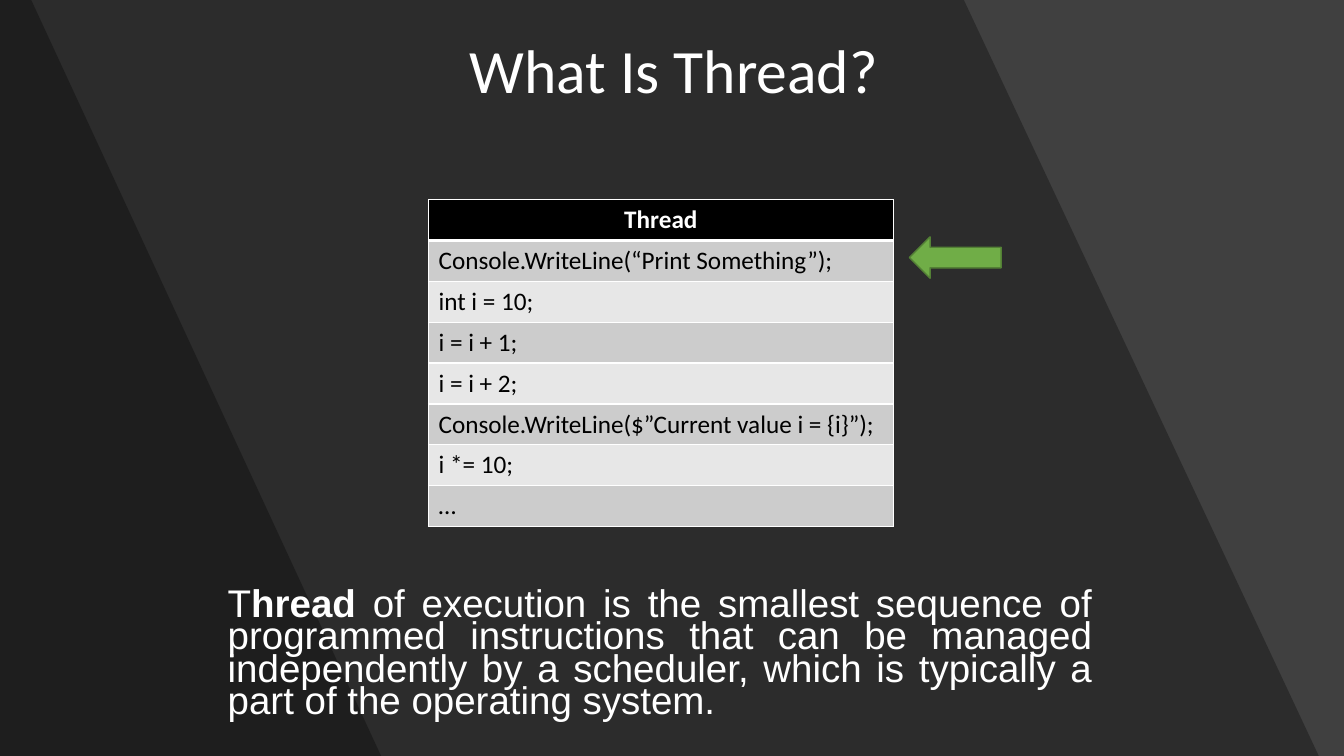
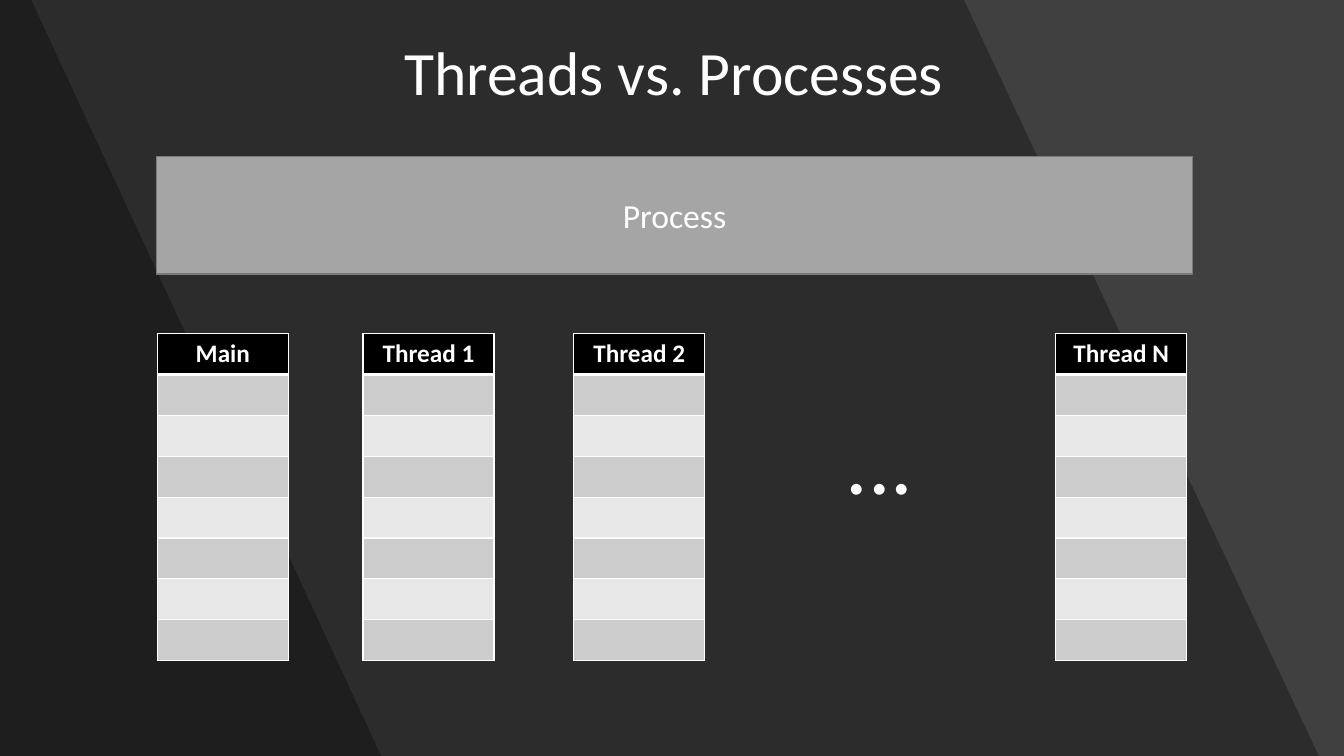
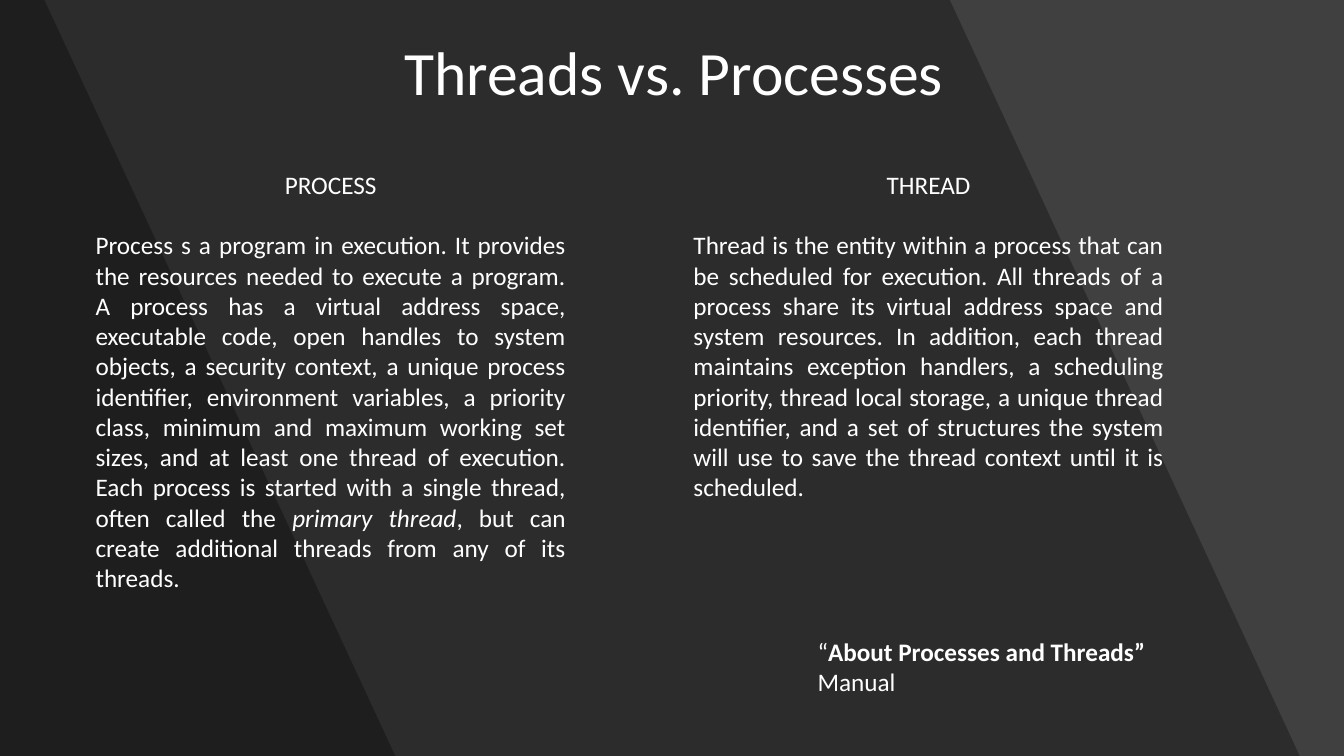
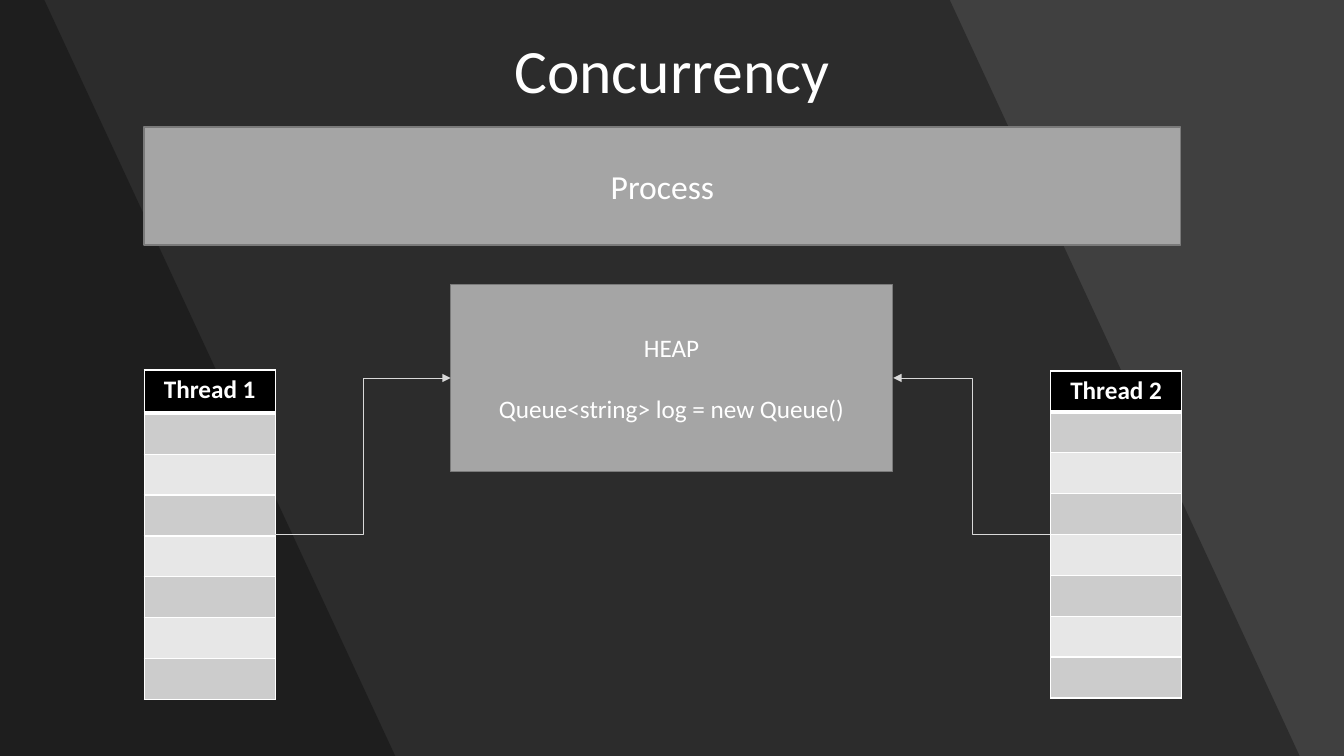
import pptx
import pptx.util
import pptx.dml.color
import pptx.enum.shapes
import pptx.enum.text
import pptx.oxml.ns
import lxml.etree

Inches = pptx.util.Inches
Pt = pptx.util.Pt
qn = pptx.oxml.ns.qn
Align = pptx.enum.text.PP_ALIGN
Anchor = pptx.enum.text.MSO_ANCHOR
Shape = pptx.enum.shapes.MSO_SHAPE
Elbow = pptx.enum.shapes.MSO_CONNECTOR.ELBOW

HUES = {
    "ground": "404040", "black": "000000", "white": "FFFFFF",
    "odd": "CCCCCC", "even": "E7E7E7", "box": "A5A5A5", "edge": "7A7A7A",
    "green": "70AD47", "moss": "538035", "wire": "D9D9D9",
}
WIDE, HIGH = 13.33, 7.5
ROW = 3.24 / 8
COL = 1.3
BLANK = [""] * 7
OUTER = ((9.56, 13.08), (0.31, 3.78))
INNER = ((9.42, 12.89), (0.44, 3.92))
TITLE = (3.42, 0.02, 6.53, 1.45)

CODE = [
    "Console.WriteLine(“Print Something”);",
    "int i = 10;",
    "i = i + 1;",
    "i = i + 2;",
    "Console.WriteLine($”Current value i = {i}”);",
    "i *= 10;",
    "…",
]
DEFINE = [
    ("T", ""),
    ("hread", "b"),
    (" of execution is the smallest sequence of programmed instructions that can be "
     "managed independently by a scheduler, which is typically a part of the "
     "operating system.", ""),
]
LANES = [("Main", 1.56), ("Thread 1", 3.6), ("Thread 2", 5.69), ("Thread N", 10.47)]
SIDES = [
    (0.85, 4.34, "PROCESS", [
        ("Process s a program in execution. It provides the resources needed to execute "
         "a program. A process has a virtual address space, executable code, open handles "
         "to system objects, a security context, a unique process identifier, environment "
         "variables, a priority class, minimum and maximum working set sizes, and at least "
         "one thread of execution. Each process is started with a single thread, often "
         "called the ", ""),
        ("primary thread", "i"),
        (", but can create additional threads from any of its threads.", ""),
    ]),
    (6.78, 3.43, "THREAD", [
        ("Thread is the entity within a process that can be scheduled for execution. All "
         "threads of a process share its virtual address space and system resources. In "
         "addition, each thread maintains exception handlers, a scheduling priority, thread "
         "local storage, a unique thread identifier, and a set of structures the system "
         "will use to save the thread context until it is scheduled.", ""),
    ]),
]
SOURCE = [("“", ""), ("About Processes and Threads” ", "b"), ("Manual", "")]
HEAP = ["HEAP", "Queue<string> log = new Queue()"]
WIRES = [((2.73, 5.3), (4.47, 3.75)), ((10.42, 5.3), (8.86, 3.75))]


def hue(name):
    return pptx.dml.color.RGBColor.from_string(HUES[name])


def place(at):
    return [Inches(n) for n in at]


def paint(item, name):
    item.fill.solid()
    item.fill.fore_color.rgb = hue(name)


def write(para, runs, size=18, ink="white", font="Calibri", align=Align.LEFT):
    para.alignment = align
    for text, style in runs:
        run = para.add_run()
        run.text = text
        run.font.size = Pt(size)
        run.font.name = font
        run.font.color.rgb = hue(ink)
        run.font.bold = "b" in style
        run.font.italic = "i" in style


def panes(slide, edges):
    for top, foot in edges:
        draft = slide.shapes.build_freeform(0, 0)
        corners = [(top, 0), (foot, HIGH), (0, HIGH)]
        draft.add_line_segments([place(dot) for dot in corners], close=True)
        pane = draft.convert_to_shape()
        pane.shadow.inherit = False
        paint(pane, "black")
        pane.line.fill.background()
        tone = pane.element.spPr.find(qn("a:solidFill"))[0]
        lxml.etree.SubElement(tone, qn("a:alpha"), val="30000")


def start(deck, text, edges, at=TITLE):
    slide = deck.slides.add_slide(deck.slide_layouts[5])
    panes(slide, edges)
    title = slide.shapes.title
    title.element.getparent().append(title.element)
    title.left, title.top, title.width, title.height = place(at)
    title.text_frame.vertical_anchor = Anchor.MIDDLE
    para = title.text_frame.paragraphs[0]
    para.line_spacing = 0.9
    write(para, [(text, "")], 44, align=Align.CENTER)
    return slide


def note(slide, at):
    frame = slide.shapes.add_textbox(*place(at)).text_frame
    frame.word_wrap = True
    return frame


def block(slide, kind, at, fill, edge):
    shape = slide.shapes.add_shape(kind, *place(at))
    shape.shadow.inherit = False
    paint(shape, fill)
    shape.line.color.rgb = hue(edge)
    shape.line.width = Pt(1)
    return shape


def label(slide, at, lines, size):
    frame = block(slide, Shape.RECTANGLE, at, "box", "edge").text_frame
    frame.vertical_anchor = Anchor.MIDDLE
    for k, text in enumerate(lines):
        para = frame.add_paragraph() if k else frame.paragraphs[0]
        write(para, [(text, "")], size, align=Align.CENTER)
        if k:
            para.space_before = Pt(22)


def border(cell, sides):
    props = cell._tc.get_or_add_tcPr()
    for k, (side, width) in enumerate(sides):
        line = lxml.etree.Element(qn("a:" + side), w=str(Pt(width)))
        fill = lxml.etree.SubElement(line, qn("a:solidFill"))
        lxml.etree.SubElement(fill, qn("a:srgbClr"), val=HUES["white"])
        props.insert(k, line)


def stack(slide, left, top, head, rows, width=COL, first=ROW):
    texts = [head] + rows
    high = first + ROW * len(rows)
    at = place((left, top, width, high))
    table = slide.shapes.add_table(len(texts), 1, *at).table
    for k, text in enumerate(texts):
        table.rows[k].height = Inches(ROW if k else first)
        cell = table.cell(k, 0)
        paint(cell, ("odd" if k % 2 else "even") if k else "black")
        border(cell, [("lnL", 1), ("lnR", 1), ("lnT", 3 if k == 1 else 1),
                      ("lnB", 1 if k else 3)])
        para = cell.text_frame.paragraphs[0]
        if k == 0:
            write(para, [(text, "b")], align=Align.CENTER)
        elif text:
            write(para, [(text, "")], ink="black")


def wire(slide, begin, end):
    link = slide.shapes.add_connector(Elbow, *place(begin + end))
    link.line.color.rgb = hue("wire")
    link.line.width = Pt(0.5)
    props = link.element.spPr
    lxml.etree.SubElement(props.find(qn("a:ln")), qn("a:tailEnd"), type="triangle")
    lxml.etree.SubElement(props, qn("a:effectLst"))


def thread(deck):
    slide = start(deck, "What Is Thread?", OUTER, (3.42, 0, 6.53, 1.45))
    stack(slide, 4.25, 1.98, "Thread", CODE, 4.61)
    block(slide, Shape.LEFT_ARROW, (9.02, 2.35, 0.91, 0.41), "green", "moss")
    para = note(slide, (2.16, 5.82, 8.77, 1.45)).paragraphs[0]
    para.line_spacing = 0.7
    write(para, DEFINE, 27.5, font="Arial", align=Align.JUSTIFY)


def lanes(deck):
    slide = start(deck, "Threads vs. Processes", OUTER)
    label(slide, (1.55, 1.55, 10.28, 1.17), ["Process"], 24)
    for head, left in LANES:
        stack(slide, left, 3.31, head, BLANK)
    dots = note(slide, (7.69, 3.97, 2.07, 1.18))
    write(dots.paragraphs[0], [("...", "")], 64, align=Align.CENTER)


def versus(deck):
    slide = start(deck, "Threads vs. Processes", INNER)
    for left, high, head, runs in SIDES:
        frame = note(slide, (left, 1.63, 4.86, high))
        write(frame.paragraphs[0], [(head, "")], align=Align.CENTER)
        frame.paragraphs[0].space_after = Pt(21.6)
        write(frame.add_paragraph(), runs, align=Align.JUSTIFY)
    write(note(slide, (8.01, 6.26, 3.92, 0.71)).paragraphs[0], SOURCE)


def shared(deck):
    slide = start(deck, "Concurrency", INNER, (0.91, 0, 11.51, 1.45))
    label(slide, (1.43, 1.26, 10.28, 1.17), ["Process"], 24)
    stack(slide, 1.43, 3.67, "Thread 1", BLANK, first=0.43)
    stack(slide, 10.42, 3.68, "Thread 2", BLANK)
    label(slide, (4.47, 2.82, 4.38, 1.86), HEAP, 18)
    for begin, end in WIRES:
        wire(slide, begin, end)


def main():
    deck = pptx.Presentation()
    deck.slide_width, deck.slide_height = place((WIDE, HIGH))
    paint(deck.slide_master.background, "ground")
    for build in (thread, lanes, versus, shared):
        build(deck)
    deck.save("out.pptx")


if __name__ == "__main__":
    main()
